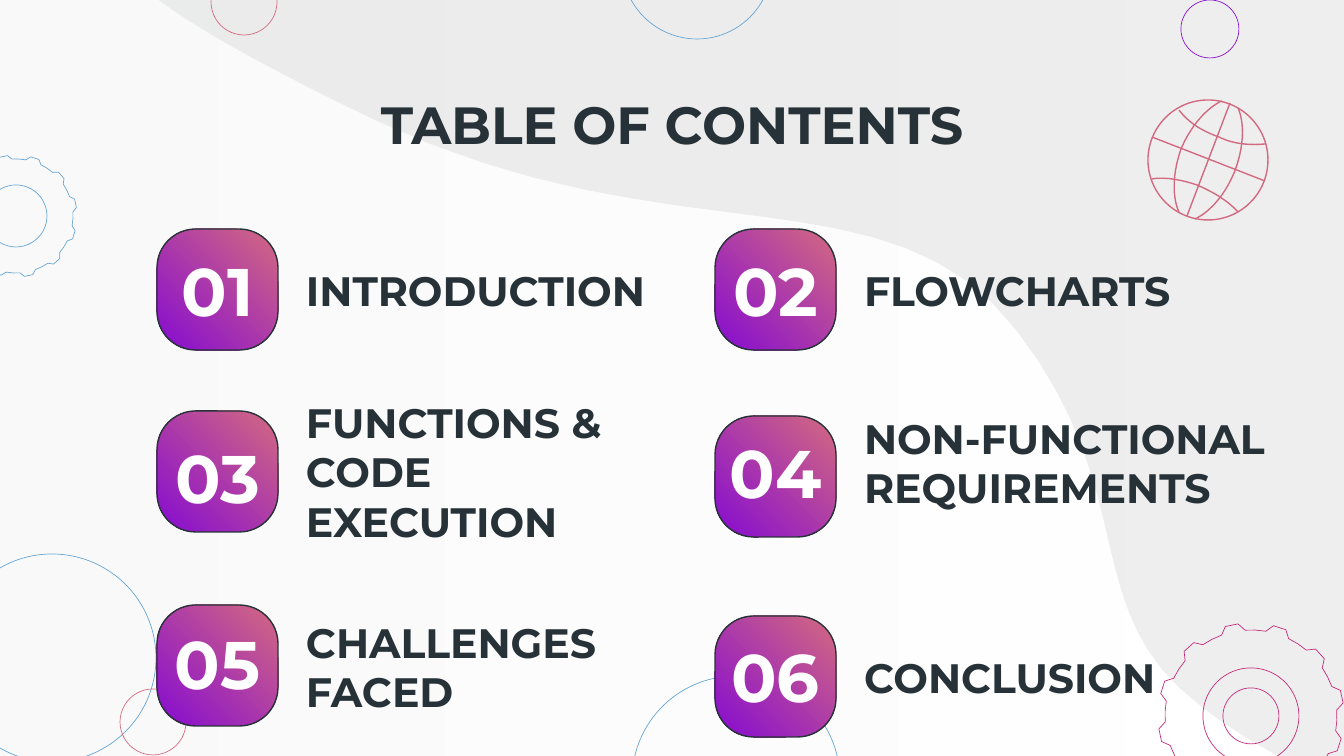
from dataclasses import dataclass
from math import cos, radians, sin

from lxml.etree import SubElement
from pptx import Presentation
from pptx.dml.color import RGBColor
from pptx.enum.shapes import MSO_CONNECTOR, MSO_SHAPE
from pptx.enum.text import MSO_ANCHOR, PP_ALIGN
from pptx.oxml.ns import qn
from pptx.util import Emu, Pt


@dataclass(frozen=True)
class Theme:
    font: str = "Montserrat"
    ink: str = "263238"
    white: str = "FFFFFF"
    mist: str = "F3F3F3"
    wave: str = "D6D7D7"
    blue: str = "63A4D5"
    violet: str = "860CD1"
    rose: str = "D36980"
    magenta: str = "C52878"
    title_pt: int = 28
    number_pt: int = 36
    label_pt: int = 22
    hairline: float = 0.36
    line: float = 0.75
    veil: int = 41


THEME = Theme()
PX_PER_INCH = 134.4
WIDTH, HEIGHT = 1344, 756
BADGE = 121
INSET = 13

# number, label, badge left, badge top, number top, label top, label width
ENTRIES = [
    ("01", "INTRODUCTION", 157, 229, 243, 258, 379),
    ("02", "FLOWCHARTS", 715, 229, 243, 258, 379),
    ("03", "FUNCTIONS & CODE EXECUTION", 157, 411, 430, 439, 379),
    ("04", "NON-FUNCTIONAL REQUIREMENTS", 715, 416, 425, 430, 435),
    ("05", "CHALLENGES FACED", 157, 605, 616, 634, 379),
    ("06", "CONCLUSION", 715, 616, 629, 645, 379),
]

# centre x, centre y, radius, colour
CIRCLES = [
    (52, 658, 104, THEME.blue),
    (1210, 29, 29, THEME.violet),
    (244, 2, 33, THEME.rose),
    (697, -36, 75, THEME.blue),
    (736, 780, 104, THEME.blue),
    (153, 722, 33, THEME.rose),
]

WAVE_EDGE = [
    (1361, 790), (1318, 777), (1262, 753), (1202, 707),
    (1075, 612), (1144, 496), (1017, 331),
    (890, 165), (675, 262), (375, 120),
    (237, 54), (172, 13), (144, -12),
]

GLOBE_AXES = [(1230, 103, 1187, 216), (1152, 137, 1265, 181)]
GLOBE_CURVES = [
    [(1179, 212), (1179, 212), (1167, 190), (1181, 149),
     (1198, 110), (1222, 101), (1222, 101)],
    [(1195, 219), (1195, 219), (1219, 210), (1235, 171),
     (1250, 130), (1238, 108), (1238, 108)],
    [(1238, 212), (1231, 204), (1218, 194), (1197, 185),
     (1179, 179), (1163, 177), (1152, 179)],
    [(1179, 110), (1185, 118), (1196, 129), (1219, 137),
     (1235, 145), (1252, 145), (1265, 144)],
]


def px(n):
    return Emu(round(n * 914400 / PX_PER_INCH))


def rgb(color):
    return RGBColor.from_string(color)


def set_line(sp, color, width):
    sp.line.color.rgb = rgb(color)
    sp.line.width = Pt(width)


def set_gradient(sp, colors, angle):
    sp.fill.gradient()
    sp.fill.gradient_angle = angle
    for position, (stop, color) in enumerate(zip(sp.fill.gradient_stops, colors)):
        stop.position = position
        stop.color.rgb = rgb(color)


def set_opacity(sp, percent):
    for color in sp._element.spPr.iter(qn("a:srgbClr")):
        SubElement(color, qn("a:alpha"), val=str(percent * 1000))


def bezier_points(nodes, steps=16):
    """Sample a chain of cubic curves whose neighbours share an end node."""
    points = [nodes[0]]
    for i in range(0, len(nodes) - 1, 3):
        for n in range(1, steps + 1):
            t = n / steps
            weights = ((1 - t) ** 3, 3 * t * (1 - t) ** 2, 3 * t * t * (1 - t), t ** 3)
            points.append(tuple(sum(w * node[axis] for w, node in zip(weights, nodes[i:i + 4]))
                                for axis in (0, 1)))
    return points


def add_outline(s, points, close):
    corners = [(px(x), px(y)) for x, y in points]
    builder = s.shapes.build_freeform(*corners[0], scale=1.0)
    builder.add_line_segments(corners[1:], close=close)
    sp = builder.convert_to_shape()
    sp.shadow.inherit = False
    sp.fill.background()
    sp.line.fill.background()
    return sp


def add_shape(s, kind, x, y, w, h):
    sp = s.shapes.add_shape(kind, px(x), px(y), px(w), px(h))
    sp.shadow.inherit = False
    return sp


def add_circle(s, cx, cy, radius, color, width=THEME.hairline):
    sp = add_shape(s, MSO_SHAPE.OVAL, cx - radius, cy - radius, 2 * radius, 2 * radius)
    sp.fill.background()
    set_line(sp, color, width)


def add_gear(s, cx, cy, outer, root, holes, color):
    """Draw twelve teeth, each followed by an arc along the root circle."""
    profile = [(4, root), (8, outer), (16, outer), (20, root), (27, root)]
    points = []
    for tooth in range(12):
        for degrees, radius in profile:
            a = radians(30 * tooth + degrees)
            points.append((cx + radius * cos(a), cy - radius * sin(a)))
    set_line(add_outline(s, points, True), color, THEME.hairline)
    for radius in holes:
        add_circle(s, cx, cy, radius, color)


def add_line(s, x1, y1, x2, y2, color, width):
    line = s.shapes.add_connector(MSO_CONNECTOR.STRAIGHT, px(x1), px(y1), px(x2), px(y2))
    set_line(line, color, width)
    SubElement(line._element.spPr, qn("a:effectLst"))


def add_globe(s):
    add_circle(s, 1208, 160, 60, THEME.rose, THEME.line)
    for axis in GLOBE_AXES:
        add_line(s, *axis, THEME.rose, THEME.line)
    for nodes in GLOBE_CURVES:
        set_line(add_outline(s, bezier_points(nodes), False), THEME.rose, THEME.line)


def add_backdrop(s):
    sheet = add_shape(s, MSO_SHAPE.RECTANGLE, -9, -9, WIDTH + 18, HEIGHT + 18)
    set_gradient(sheet, (THEME.white, THEME.mist), 180)
    set_opacity(sheet, THEME.veil)
    sheet.line.fill.background()
    corner = [(144, -34), (1382, -34), (1382, 790)]
    wave = add_outline(s, corner + bezier_points(WAVE_EDGE), True)
    wave.fill.solid()
    wave.fill.fore_color.rgb = rgb(THEME.wave)
    set_opacity(wave, THEME.veil)


def add_text(s, text, x, y, w, h, size, color, align=PP_ALIGN.LEFT):
    tf = s.shapes.add_textbox(px(x), px(y), px(w), px(h)).text_frame
    tf.word_wrap = True
    tf.vertical_anchor = MSO_ANCHOR.MIDDLE
    tf.margin_left = tf.margin_right = tf.margin_top = tf.margin_bottom = px(INSET)
    p = tf.paragraphs[0]
    p.alignment = align
    r = p.add_run()
    r.text = text
    r.font.name = THEME.font
    r.font.size = Pt(size)
    r.font.bold = True
    r.font.color.rgb = rgb(color)


def add_entry(s, number, label, x, badge_y, number_y, label_y, label_w):
    badge = add_shape(s, MSO_SHAPE.ROUNDED_RECTANGLE, x, badge_y, BADGE, BADGE)
    badge.adjustments[0] = 0.32
    set_gradient(badge, (THEME.rose, THEME.violet), 225)
    set_line(badge, THEME.ink, THEME.line)
    add_text(s, number, x, number_y, BADGE, 94, THEME.number_pt, THEME.white, PP_ALIGN.CENTER)
    add_text(s, label, x + 136, label_y, label_w, 65, THEME.label_pt, THEME.ink)


def main():
    prs = Presentation()
    prs.slide_width, prs.slide_height = px(WIDTH), px(HEIGHT)
    s = prs.slides.add_slide(prs.slide_layouts[6])
    add_backdrop(s)
    for circle in CIRCLES:
        add_circle(s, *circle)
    add_gear(s, 16, 216, 61, 57, [31], THEME.blue)
    add_gear(s, 1251, 716, 93, 86, [48, 28], THEME.magenta)
    add_text(s, "TABLE OF CONTENTS", 105, 97, 1134, 54, THEME.title_pt, THEME.ink,
             PP_ALIGN.CENTER)
    add_globe(s)
    for entry in ENTRIES:
        add_entry(s, *entry)
    prs.save("out.pptx")


if __name__ == "__main__":
    main()
